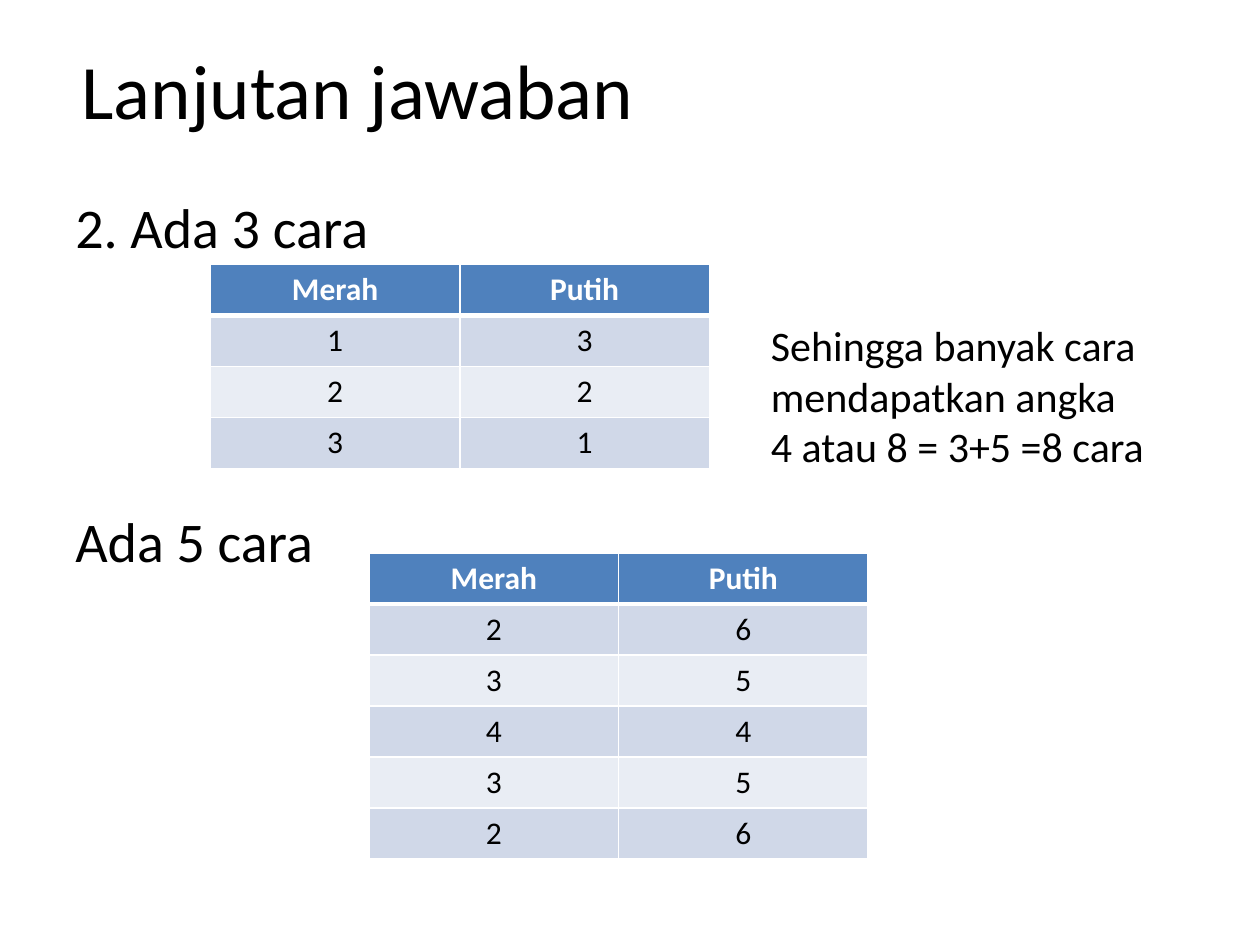
from pptx import Presentation
from pptx.dml.color import RGBColor
from pptx.enum.text import MSO_ANCHOR, PP_ALIGN
from pptx.oxml import parse_xml
from pptx.oxml.ns import nsdecls
from pptx.util import Inches, Pt

FONT = "Calibri"
BLACK, WHITE = "000000", "FFFFFF"
HEADER_FILL = "4F81BD"
BAND_FILLS = ("D0D8E8", "E9EDF4")
COLUMN_WIDTH, ROW_HEIGHT = 1.98, 0.405


def color(hex_value):
    return RGBColor.from_string(hex_value)


def format_runs(paragraph, size, hex_value=BLACK, bold=False):
    for run in paragraph.runs:
        run.font.name = FONT
        run.font.size = Pt(size)
        run.font.bold = bold
        run.font.color.rgb = color(hex_value)


def add_text(slide, box, lines, size, gap=0, anchor=MSO_ANCHOR.TOP):
    """Place lines in a text box, with gap points between paragraphs."""
    shape = slide.shapes.add_textbox(*map(Inches, box))
    text_frame = shape.text_frame
    text_frame.word_wrap = True
    text_frame.vertical_anchor = anchor
    text_frame.text = "\n".join(lines)
    for index, paragraph in enumerate(text_frame.paragraphs):
        if index:
            paragraph.space_before = Pt(gap)
        format_runs(paragraph, size)


def set_borders(cell, bottom_width):
    properties = cell._tc.get_or_add_tcPr()
    widths = {"lnL": 1, "lnR": 1, "lnT": 1, "lnB": bottom_width}
    for index, (side, width) in enumerate(widths.items()):
        properties.insert(index, parse_xml(
            f'<a:{side} {nsdecls("a")} w="{Pt(width)}"><a:solidFill>'
            f'<a:srgbClr val="{WHITE}"/></a:solidFill></a:{side}>'))


def add_dice_table(slide, left, top, pairs):
    """Place a table of red and white dice values."""
    rows = [("Merah", "Putih"), *pairs]
    table = slide.shapes.add_table(
        len(rows), 2, Inches(left), Inches(top),
        Inches(2 * COLUMN_WIDTH), Inches(len(rows) * ROW_HEIGHT)).table
    for column in table.columns:
        column.width = Inches(COLUMN_WIDTH)
    for row_index, values in enumerate(rows):
        table.rows[row_index].height = Inches(ROW_HEIGHT)
        header = row_index == 0
        fill = HEADER_FILL if header else BAND_FILLS[(row_index - 1) % 2]
        for column_index, value in enumerate(values):
            cell = table.cell(row_index, column_index)
            cell.text = str(value)
            cell.fill.solid()
            cell.fill.fore_color.rgb = color(fill)
            # The line under the header is thicker, on both sides of the edge
            set_borders(cell, 3 if header else 1)
            if row_index == 1:
                cell._tc.tcPr.find("{*}lnT").set("w", str(Pt(3)))
            paragraph = cell.text_frame.paragraphs[0]
            paragraph.alignment = PP_ALIGN.CENTER
            format_runs(paragraph, 18, WHITE if header else BLACK, header)


def build_answer_slide(presentation):
    slide = presentation.slides.add_slide(presentation.slide_layouts[6])
    # Title and the two answers
    add_text(slide, (0.55, 0.08, 9, 1.25), ["Lanjutan jawaban"], 44,
             anchor=MSO_ANCHOR.MIDDLE)
    add_text(slide, (0.5, 1.48, 9, 5.22), ["2. Ada 3 cara", "Ada 5 cara"],
             32, gap=141)
    # Dice sums of four and of eight
    add_dice_table(slide, 1.67, 2.1, [(1, 3), (2, 2), (3, 1)])
    add_dice_table(slide, 2.93, 4.39,
                   [(2, 6), (3, 5), (4, 4), (3, 5), (2, 6)])
    # Conclusion
    add_text(slide, (6.02, 2.49, 3.95, 1.31),
             ["Sehingga banyak cara mendapatkan angka",
              "4 atau 8 = 3+5 =8 cara"], 24)


def main():
    presentation = Presentation()
    presentation.slide_width = Inches(10)
    presentation.slide_height = Inches(7.5)
    build_answer_slide(presentation)
    presentation.save("out.pptx")


if __name__ == "__main__":
    main()
